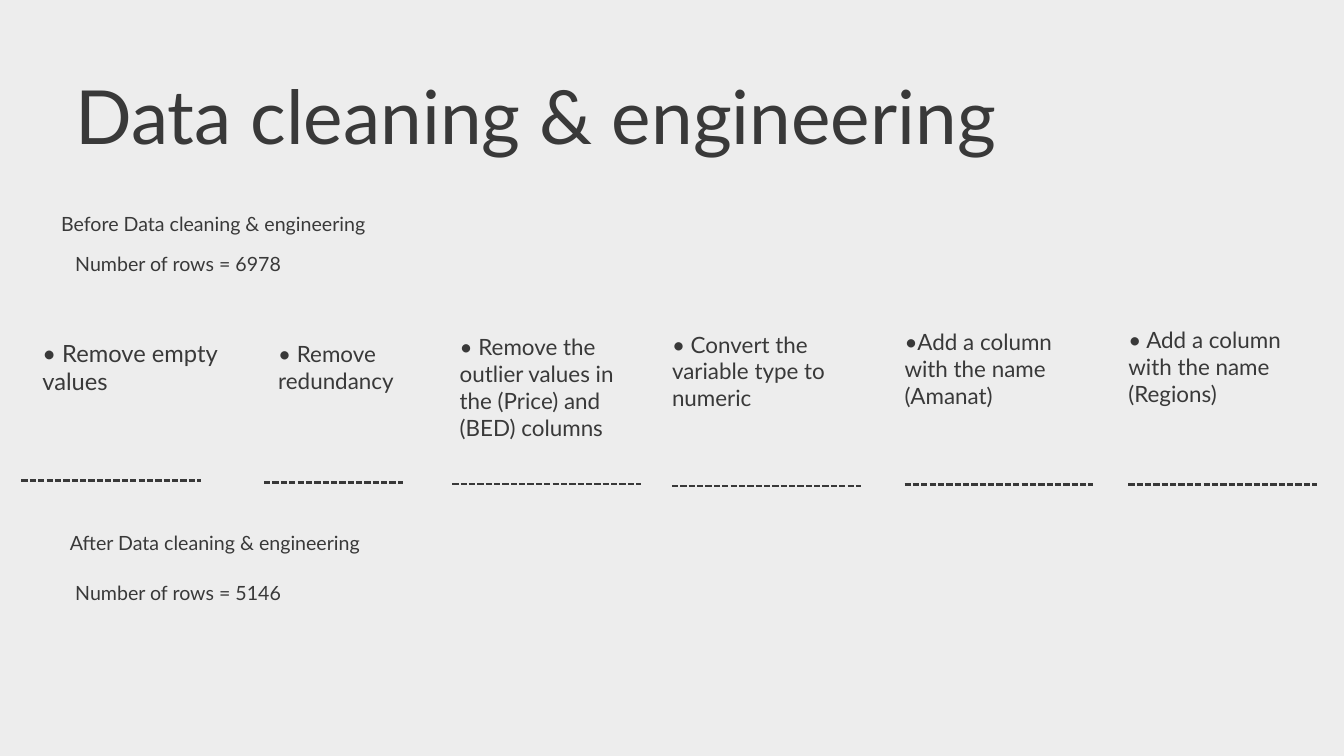
from dataclasses import dataclass

from lxml import etree
from pptx import Presentation
from pptx.dml.color import RGBColor
from pptx.enum import dml, shapes, text
from pptx.oxml.ns import qn
from pptx.util import Inches, Pt


@dataclass(frozen=True)
class Theme:
    font: str = "Lato"
    ink: RGBColor = RGBColor(0x39, 0x39, 0x39)
    paper: RGBColor = RGBColor(0xED, 0xED, 0xED)
    title: float = 80
    lead_step: float = 25.4
    step: float = 24
    count: float = 21
    rule: float = 2.25


THEME = Theme()
STEP_WIDTH = 2.81

# wording, text box, type size, line spacing, rule (left, top, length)
STEPS = [
    ("• Remove empty\vvalues", (0.63, 5.04, 3.95, 1.25), THEME.lead_step, 30.5, (0.32, 7.15, 2.67)),
    ("• Remove redundancy", (4.14, 5.06, STEP_WIDTH, 1.18), THEME.step, 28.8, (3.93, 7.18, 2.07)),
    ("• Remove the outlier values in the (Price) and (BED) columns",
     (6.84, 4.96, STEP_WIDTH, 1.96), THEME.step, 28.8, (6.73, 7.2, STEP_WIDTH)),
    ("• Convert the variable type to numeric",
     (10, 4.92, STEP_WIDTH, 1.57), THEME.step, 28.8, (10, 7.23, STEP_WIDTH)),
    ("•Add a column with the name (Amanat)",
     (13.46, 4.88, STEP_WIDTH, 1.57), THEME.step, 28.8, (13.46, 7.21, STEP_WIDTH)),
    ("• Add a column with the name (Regions)",
     (16.79, 4.86, STEP_WIDTH, 1.57), THEME.step, 28.8, (16.79, 7.21, STEP_WIDTH)),
]


def write(tf, words, size, leading):
    tf.word_wrap = True
    tf.auto_size = text.MSO_AUTO_SIZE.SHAPE_TO_FIT_TEXT
    tf.vertical_anchor = text.MSO_ANCHOR.TOP
    tf.margin_left = tf.margin_top = tf.margin_right = tf.margin_bottom = 0
    p = tf.paragraphs[0]
    p.text = words
    p.alignment = text.PP_ALIGN.LEFT
    p.line_spacing = Pt(leading)
    p.space_before = Pt(0)
    for r in p.runs:
        r.font.name = THEME.font
        r.font.size = Pt(size)
        r.font.color.rgb = THEME.ink


def add_text(s, box, words, size, leading):
    sp = s.shapes.add_textbox(*map(Inches, box))
    write(sp.text_frame, words, size, leading)


def add_title(s, box, words):
    sp = s.shapes.title
    sp.left, sp.top, sp.width, sp.height = map(Inches, box)
    write(sp.text_frame, words, THEME.title, 77.6)


def add_rule(s, left, top, length):
    line = s.shapes.add_connector(shapes.MSO_CONNECTOR.STRAIGHT, Inches(left), Inches(top),
                                  Inches(left + length), Inches(top))
    line.line.color.rgb = THEME.ink
    line.line.width = Pt(THEME.rule)
    line.line.dash_style = dml.MSO_LINE.SQUARE_DOT
    etree.SubElement(line._element.spPr, qn("a:effectLst"))


def add_step(s, words, box, size, leading, rule):
    add_text(s, box, words, size, leading)
    add_rule(s, *rule)


def add_row_count(s, left, top, heading, rows, indent, drop):
    """Heading with the number of rows below it, indented and dropped."""
    add_text(s, (left, top, 5.36, 0.81), heading, THEME.count, 29.4)
    add_text(s, (left + indent, top + drop, 3.74, 0.81),
             f"Number of rows = {rows}", THEME.count, 29.4)


def main():
    prs = Presentation()
    prs.slide_width, prs.slide_height = Inches(20), Inches(11.25)
    s = prs.slides.add_slide(prs.slide_layouts[5])
    s.background.fill.solid()
    s.background.fill.fore_color.rgb = THEME.paper

    add_title(s, (1.12, 1.3, 15.67, 1.16), "Data cleaning & engineering")
    add_row_count(s, 0.91, 3.09, "Before Data cleaning & engineering", 6978, 0.21, 0.6)
    for step in STEPS:
        add_step(s, *step)
    add_row_count(s, 1.04, 7.84, "After Data cleaning & engineering", 5146, 0.08, 0.75)
    prs.save("out.pptx")


if __name__ == "__main__":
    main()
